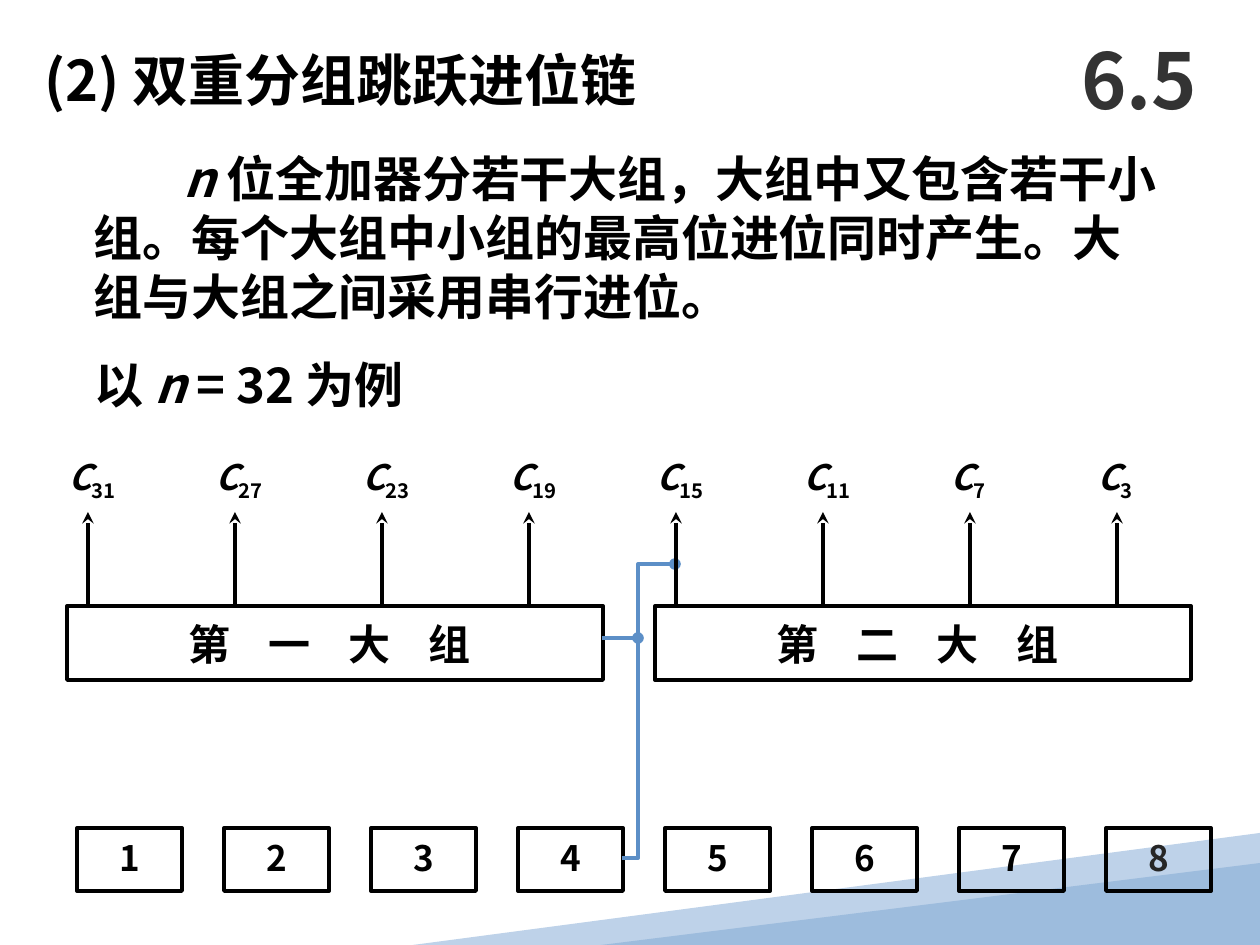
from lxml.etree import SubElement
from pptx import Presentation
from pptx.dml.color import RGBColor
from pptx.enum.shapes import MSO_CONNECTOR, MSO_SHAPE
from pptx.enum.text import MSO_ANCHOR, PP_ALIGN
from pptx.oxml.ns import qn
from pptx.util import Emu, Pt

PX = 914400 / 126
FONT = "Noto Sans CJK SC"
BLACK = RGBColor(0x00, 0x00, 0x00)
DARK = RGBColor(0x26, 0x26, 0x26)
GREY = RGBColor(0x33, 0x33, 0x33)
WIRE_BLUE = RGBColor(0x5C, 0x8F, 0xC7)
PALE_BLUE = RGBColor(0xBE, 0xD2, 0xE9)
MID_BLUE = RGBColor(0x9D, 0xBC, 0xDD)

PITCH = 147  # distance between neighbouring carries and small groups
CARRIES = [31, 27, 23, 19, 15, 11, 7, 3]


def px(*lengths):
    return [Emu(round(length * PX)) for length in lengths]


def format_span(span, size, color, italic=False, baseline=0):
    font = span.font
    font.name, font.size, font.bold, font.italic = FONT, Pt(size), True, italic
    font.color.rgb = color
    properties = span._r.get_or_add_rPr()
    SubElement(properties, qn("a:ea")).set("typeface", FONT)
    if baseline:
        properties.set("baseline", str(baseline * 1000))


def add_text(page, area, spans, size, color=BLACK, middle=False, inset=True):
    """Each span is a text, or a tuple of text, italic and baseline."""
    box = page.shapes.add_textbox(*px(*area))
    frame = box.text_frame
    frame.word_wrap = True
    frame.vertical_anchor = MSO_ANCHOR.MIDDLE if middle else MSO_ANCHOR.TOP
    if not inset:
        frame.margin_left = frame.margin_right = 0
        frame.margin_top = frame.margin_bottom = 0
    para = frame.paragraphs[0]
    for item in spans:
        text, *style = (item,) if isinstance(item, str) else item
        span = para.add_run()
        span.text = text
        format_span(span, size, color, *style)
    return para


def add_outline_box(page, area):
    box = page.shapes.add_shape(MSO_SHAPE.RECTANGLE, *px(*area))
    box.shadow.inherit = False
    box.fill.background()
    box.line.color.rgb = BLACK
    box.line.width = Pt(2.25)


def style_line(shape, color, end):
    shape.line.color.rgb = color
    shape.line.width = Pt(2.25)
    properties = shape._element.spPr
    SubElement(properties.find(qn("a:ln")), qn("a:tailEnd")).set("type", end)
    if properties.find(qn("a:effectLst")) is None:
        SubElement(properties, qn("a:effectLst"))


def add_line(page, start, finish, color, end):
    line = page.shapes.add_connector(MSO_CONNECTOR.STRAIGHT, *px(*start, *finish))
    style_line(line, color, end)


def add_freeform(page, points, close):
    builder = page.shapes.build_freeform(*points[0], scale=PX)
    builder.add_line_segments(points[1:], close=close)
    shape = builder.convert_to_shape()
    shape.shadow.inherit = False
    return shape


def fill_plain(shape, color):
    shape.shadow.inherit = False
    shape.fill.solid()
    shape.fill.fore_color.rgb = color
    shape.line.fill.background()


def add_corner(page):
    band = add_freeform(page, [(1260, 833), (1260, 937), (848, 945), (413, 945)], True)
    fill_plain(band, PALE_BLUE)
    wedge = page.shapes.add_shape(MSO_SHAPE.ISOSCELES_TRIANGLE, *px(601, 863, 659, 82))
    wedge.adjustments[0] = 1
    fill_plain(wedge, MID_BLUE)


def add_big_group(page, left, name):
    add_outline_box(page, (left, 606, 536, 74))
    para = add_text(page, (left + 109, 612, 372, 63), ["\t".join(name)], 24)
    tabs = SubElement(para._p.get_or_add_pPr(), qn("a:tabLst"))
    for position in px(80, 160, 240):
        tab = SubElement(tabs, qn("a:tab"))
        tab.set("pos", str(position))
        tab.set("algn", "l")


def add_wires(page):
    add_line(page, (602, 638), (638, 638), WIRE_BLUE, "oval")
    wire = add_freeform(page, [(622, 858), (638, 858), (638, 564), (675, 564)], False)
    wire.fill.background()
    style_line(wire, WIRE_BLUE, "oval")


def main():
    deck = Presentation()
    deck.slide_width, deck.slide_height = px(1260, 945)
    page = deck.slides.add_slide(deck.slide_layouts[6])
    add_corner(page)

    # Heading and explanation
    add_text(page, (32, 32, 998, 94), ["(2) 双重分组跳跃进位链"], 32, middle=True)
    para = add_text(page, (94, 116, 1071, 242), [
        ("n ", True),
        "位全加器分若干大组，大组中又包含若干小组。每个大组中小组的最高位进位同时产生。"
        "大组与大组之间采用串行进位。",
    ], 28, middle=True, inset=False)
    para._p.get_or_add_pPr().set("indent", str(px(90)[0]))
    add_text(page, (94, 359, 348, 49), ["以 ", ("n", True), " = 32 为例"], 28,
             middle=True, inset=False)

    # Small groups
    for index in range(len(CARRIES)):
        left = 77 + index * PITCH
        add_outline_box(page, (left, 828, 105, 63))
        color = DARK if index == len(CARRIES) - 1 else BLACK
        add_text(page, (left + 30, 830, 49, 55), [str(index + 1)], 20, color)

    # Big groups and the carry between them
    add_big_group(page, 67, "第一大组")
    add_big_group(page, 655, "第二大组")
    add_wires(page)

    # Carry outputs
    for index, carry in enumerate(CARRIES):
        x = 88 + index * PITCH
        add_line(page, (x, 606), (x, 512), BLACK, "stealth")
        add_text(page, (x - 32, 449, 82, 55),
                 [("C", True), (str(carry), False, -25)], 20)

    # Section number
    number = add_text(page, (1061, 21, 157, 116), ["6.5"], 44, GREY, middle=True)
    number.alignment = PP_ALIGN.CENTER
    deck.save("out.pptx")


if __name__ == "__main__":
    main()
